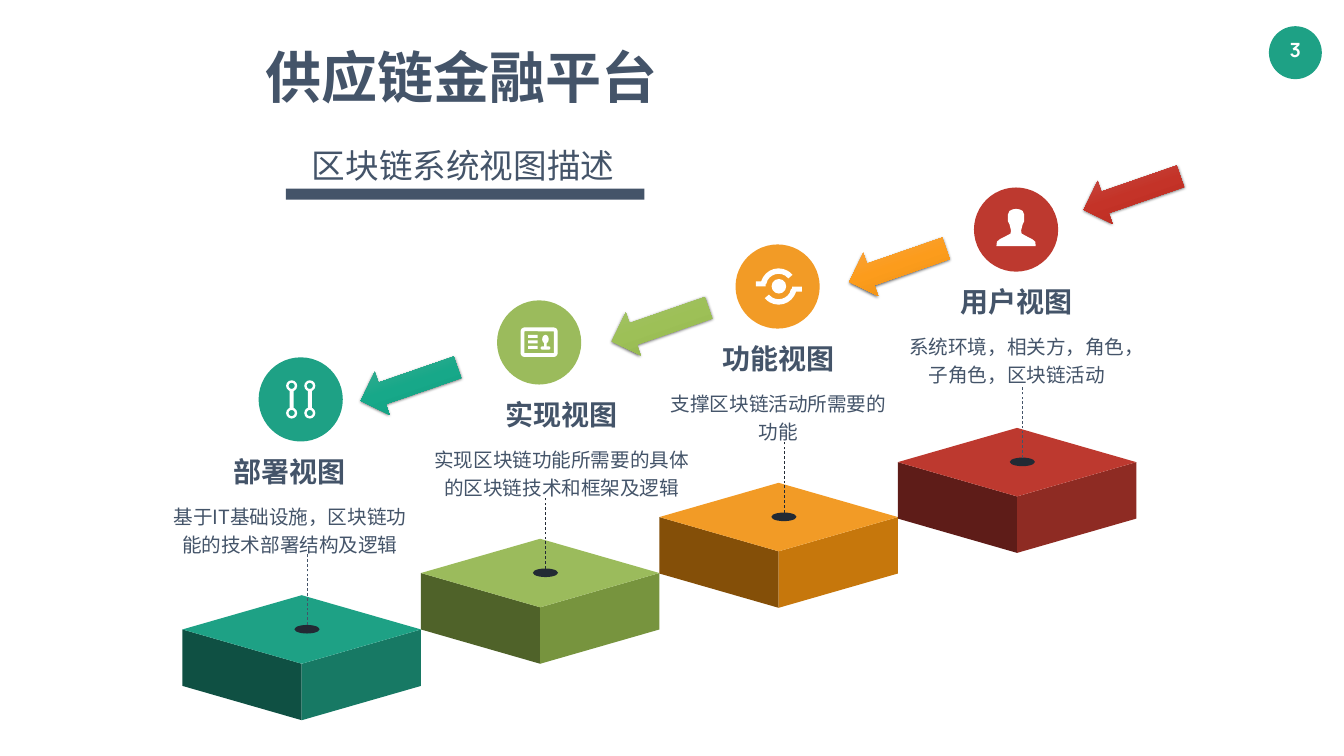
from copy import deepcopy

from lxml import etree
from pptx import Presentation
from pptx.dml.color import RGBColor
from pptx.enum.dml import MSO_LINE
from pptx.enum.shapes import MSO_CONNECTOR, MSO_SHAPE
from pptx.enum.text import MSO_ANCHOR, MSO_AUTO_SIZE, PP_ALIGN
from pptx.oxml.ns import qn
from pptx.util import Inches, Pt

OVAL, RECT, DONUT = MSO_SHAPE.OVAL, MSO_SHAPE.RECTANGLE, MSO_SHAPE.DONUT
ROUNDED, ARC, ARROW = MSO_SHAPE.ROUNDED_RECTANGLE, MSO_SHAPE.BLOCK_ARC, MSO_SHAPE.LEFT_ARROW
CENTER, TOP, MIDDLE = PP_ALIGN.CENTER, MSO_ANCHOR.TOP, MSO_ANCHOR.MIDDLE
FONT, NUMBER_FONT = "Noto Sans CJK SC", "Manrope"
INK, DARK, WHITE, TEAL = "445469", "222A34", "FFFFFF", "1EA185"

# Staircase: each block is one step to the right of the one before
FIRST_LEFT, STEP, HALF, DEPTH = 3.62, 4.73, 2.365, 0.68
BLOCK_HEIGHT = 1.12
DISC = 1.67


def color(hex_code):
    return RGBColor.from_string(hex_code)


def add_preset(slide, kind, left, top, width, height, fill, adjustments=()):
    shape = slide.shapes.add_shape(kind, Inches(left), Inches(top), Inches(width), Inches(height))
    shape.shadow.inherit = False
    shape.fill.solid()
    shape.fill.fore_color.rgb = color(fill)
    shape.line.fill.background()
    for index, value in enumerate(adjustments):
        shape.adjustments[index] = value
    return shape


def add_polygon(slide, points, fill):
    corners = [(Inches(x), Inches(y)) for x, y in points]
    builder = slide.shapes.build_freeform(*corners[0])
    builder.add_line_segments(corners[1:], close=True)
    shape = builder.convert_to_shape()
    shape.shadow.inherit = False
    shape.fill.solid()
    shape.fill.fore_color.rgb = color(fill)
    shape.line.fill.background()


def set_frame(frame, side, edge, anchor=TOP):
    frame.word_wrap = True
    frame.auto_size = MSO_AUTO_SIZE.NONE
    frame.vertical_anchor = anchor
    frame.margin_left = frame.margin_right = Inches(side)
    frame.margin_top = frame.margin_bottom = Inches(edge)


def set_paragraph(paragraph, text, size, bold=False, ink=INK, font=FONT, spacing=1.0):
    paragraph.text = text
    paragraph.alignment = CENTER
    paragraph.line_spacing = spacing
    for run in paragraph.runs:
        run.font.size = Pt(size)
        run.font.bold = bold
        run.font.color.rgb = color(ink)
        run.font.name = font
        etree.SubElement(run.font._element, qn("a:ea"), typeface=font)


def add_text_box(slide, left, top, width, height, side, edge):
    box = slide.shapes.add_textbox(Inches(left), Inches(top), Inches(width), Inches(height))
    set_frame(box.text_frame, side, edge)
    return box.text_frame


def add_heading(slide):
    title = slide.shapes.title
    title.left, title.top = Inches(2.4), Inches(0.79)
    title.width, title.height = Inches(13.52), Inches(1.45)
    set_frame(title.text_frame, 0.1, 0.05)
    set_paragraph(title.text_frame.paragraphs[0], "供应链金融平台", 80, bold=True)
    add_preset(slide, RECT, 5.67, 3.74, 7.11, 0.22, INK)
    subtitle = add_text_box(slide, 2.81, 2.59, 12.75, 1.31, 0.24, 0.12)
    set_paragraph(subtitle.paragraphs[0], "区块链系统视图描述", 48, spacing=1.2)


def add_page_number(slide):
    badge = add_preset(slide, OVAL, 25.17, 0.52, 1.05, 1.05, TEAL)
    set_frame(badge.text_frame, 0, 0, MIDDLE)
    badge.text_frame.margin_bottom = Inches(0.1)
    set_paragraph(badge.text_frame.paragraphs[0], "3", 28, True, WHITE, NUMBER_FONT)


def add_block(slide, left, top, shades):
    middle, right = left + HALF, left + 2 * HALF
    shoulder, front = top + DEPTH, top + 2 * DEPTH
    for side, shade in zip((left, right), shades):
        add_polygon(slide, [(side, shoulder), (side, shoulder + BLOCK_HEIGHT),
                            (middle, front + BLOCK_HEIGHT), (middle, front)], shade)
    add_polygon(slide, [(middle, top), (right, shoulder), (middle, front), (left, shoulder)],
                shades[2])


def add_pin(slide, x, top, ink):
    add_preset(slide, OVAL, x - 0.25, top, 0.5, 0.17, DARK)
    stem = slide.shapes.add_connector(MSO_CONNECTOR.STRAIGHT, Inches(x), Inches(top),
                                      Inches(x), Inches(top - 1.44))
    stem.line.color.rgb = color(ink)
    stem.line.width = Pt(1)
    stem.line.dash_style = MSO_LINE.DASH
    etree.SubElement(stem._element.spPr, qn("a:effectLst"))


def add_arrow(slide, left, top, stops):
    arrow = add_preset(slide, ARROW, left, top, 2.03, 0.9, stops[1])
    arrow.rotation = 340.9
    # Three-stop gradient running downwards
    arrow.fill.gradient()
    arrow.fill.gradient_angle = 270
    stop_list = arrow._element.spPr.find(".//" + qn("a:gsLst"))
    stop_list.append(deepcopy(stop_list[0]))
    for stop, position, shade in zip(arrow.fill.gradient_stops, (0, 0.5, 1), stops):
        stop.position = position
        stop.color.rgb = color(shade)
    # Soft shadow below
    effects = arrow._element.spPr.find(qn("a:effectLst"))
    shadow = etree.SubElement(effects, qn("a:outerShdw"), blurRad=str(Pt(4.5)),
                              dist=str(Pt(1.5)), dir="5400000", rotWithShape="0")
    black = etree.SubElement(shadow, qn("a:srgbClr"), val="000000")
    etree.SubElement(black, qn("a:alpha"), val="63000")


# Icons, each placed around the centre of its disc
def draw_nodes_icon(slide, x, y):
    for column in (x - 0.18, x + 0.18):
        add_preset(slide, RECT, column - 0.04, y - 0.18, 0.08, 0.36, WHITE)
        for row in (y - 0.27, y + 0.27):
            add_preset(slide, DONUT, column - 0.11, row - 0.11, 0.22, 0.22, WHITE, [0.22])


def draw_card_icon(slide, x, y):
    border = add_preset(slide, ROUNDED, x - 0.33, y - 0.26, 0.66, 0.51, WHITE, [0.08])
    border.fill.background()
    border.line.color.rgb = color(WHITE)
    border.line.width = Pt(5.4)
    for row in range(3):
        add_preset(slide, RECT, x - 0.22, y - 0.15 + 0.11 * row, 0.19, 0.06, WHITE)
    add_preset(slide, OVAL, x + 0.06, y - 0.15, 0.13, 0.17, WHITE)
    add_preset(slide, RECT, x + 0.1, y, 0.05, 0.1, WHITE)
    add_preset(slide, ROUNDED, x + 0.03, y + 0.08, 0.19, 0.06, WHITE, [0.4])


def draw_cycle_icon(slide, x, y):
    add_preset(slide, OVAL, x - 0.12, y - 0.15, 0.29, 0.29, WHITE)
    for start, tail_left, tail_top in ((190, -0.43, -0.1), (10, 0.29, 0)):
        angles = [start * 0.6, (start + 130) * 0.6]
        add_preset(slide, ARC, x - 0.34, y - 0.36, 0.72, 0.72, WHITE, angles + [0.15])
        add_preset(slide, RECT, x + tail_left, y + tail_top, 0.19, 0.1, WHITE)


def draw_user_icon(slide, x, y):
    outline = [(0, -0.41), (0.07, -0.4), (0.13, -0.37), (0.16, -0.3), (0.16, -0.16),
               (0.13, -0.1), (0.1, 0.02), (0.11, 0.08), (0.22, 0.14), (0.32, 0.19),
               (0.38, 0.24), (0.39, 0.33)]
    mirrored = [(-dx, dy) for dx, dy in reversed(outline[1:])]
    add_polygon(slide, [(x + dx, y + dy) for dx, dy in outline + mirrored], WHITE)


# Name, description, text left and width, block top, disc top, pin ink,
# block shades (left, right, top), arrow place, arrow gradient, icon
VIEWS = [
    ("部署视图", "基于IT基础设施，区块链功能的技术部署结构及逻辑", (3.15, 5.2), 11.81, 7.09, INK,
     ("0F5043", "177964", TEAL), (7.1, 7.17), ("4EAD94", "17A889", "0F9B7D"), draw_nodes_icon),
    ("实现视图", "实现区块链功能所需要的具体的区块链技术和框架及逻辑", (8.33, 5.62), 10.69, 5.96, DARK,
     ("4F6229", "77943E", "9BBB5C"), (12.08, 5.99), ("A6C372", "9DC057", "8DB048"), draw_card_icon),
    ("功能视图", "支撑区块链活动所需要的功能", (13.05, 4.78), 9.58, 4.85, DARK,
     ("844F08", "C6770C", "F29B26"), (16.79, 4.81), ("F6A652", "FC9C1C", "E58C14"), draw_cycle_icon),
    ("用户视图", "系统环境，相关方，角色，子角色，区块链活动", (17.78, 4.78), 8.49, 3.72, INK,
     ("5E1C18", "8E2B23", "BD392F"), (21.44, 3.38), ("C75954", "C43328", "B5281D"), draw_user_icon),
]


def add_view(slide, index, view):
    name, description, (text_left, text_width), block_top, disc_top, ink, *rest = view
    shades, arrow_place, gradient, draw_icon = rest
    left = FIRST_LEFT + STEP * index
    middle = left + HALF - 0.02
    add_block(slide, left, block_top, shades)
    add_preset(slide, OVAL, middle - DISC / 2, disc_top, DISC, DISC, shades[2])
    draw_icon(slide, middle, disc_top + DISC / 2)
    frame = add_text_box(slide, text_left, disc_top + 1.7, text_width, 2.38, 0.2, 0.1)
    set_paragraph(frame.paragraphs[0], name, 40, bold=True, spacing=1.2)
    details = frame.add_paragraph()
    set_paragraph(details, description, 28, spacing=1.2)
    details.space_before = Pt(17)
    add_pin(slide, left + 2.47, block_top + 0.59, ink)
    add_arrow(slide, *arrow_place, gradient)


def main():
    deck = Presentation()
    deck.slide_width, deck.slide_height = Inches(26.66), Inches(15)
    slide = deck.slides.add_slide(deck.slide_layouts[5])
    add_page_number(slide)
    add_heading(slide)
    for index, view in enumerate(VIEWS):
        add_view(slide, index, view)
    deck.save("out.pptx")


if __name__ == "__main__":
    main()
